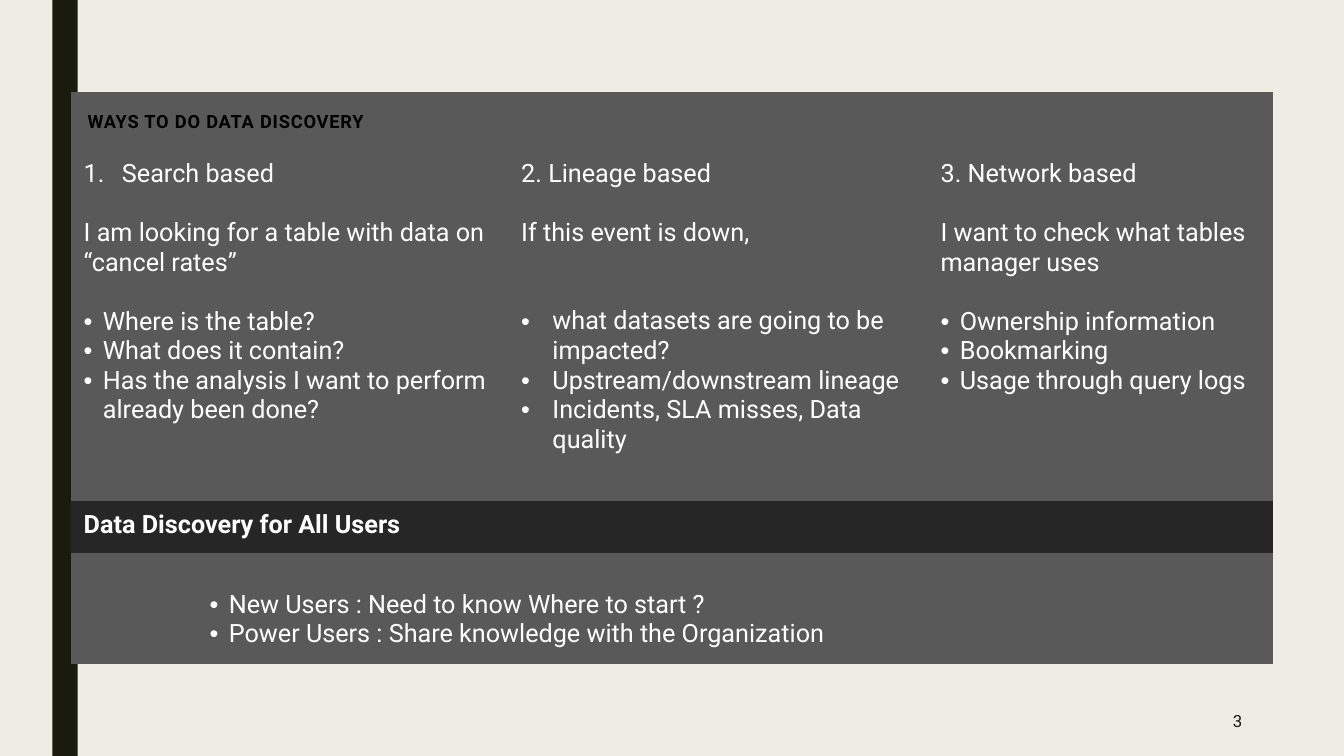
from lxml import etree
from pptx import Presentation
from pptx.dml.color import RGBColor
from pptx.enum.shapes import MSO_SHAPE as SHAPE
from pptx.enum.text import MSO_ANCHOR as ANCHOR, PP_ALIGN as ALIGN
from pptx.oxml.ns import qn
from pptx.util import Inches, Pt

FONT = "Roboto"
CREAM = RGBColor(0xEF, 0xED, 0xE3)
OLIVE = RGBColor(0x19, 0x1B, 0x0E)
GRAY = RGBColor(0x59, 0x59, 0x59)
DARK = RGBColor(0x26, 0x26, 0x26)
WHITE = RGBColor(0xFF, 0xFF, 0xFF)
BLACK = RGBColor(0, 0, 0)
NO_GRID = "{2D5ABB26-0587-4C30-8999-92F81FD0307C}"
LINE = 21  # height of one 18 pt line, in points

COLS = [4.34, 4.16, 3.43]
ROWS = [0.6, 3.46, 0.52, 1.1]

# heading, is it auto-numbered, question, lines before the bullets, bullet indent, bullets
WAYS = [
    ("Search based", True, "I am looking for a table with data on “cancel rates”", 1, 0.19,
     ["Where is the table?", "What does it contain?",
      "Has the analysis I want to perform already been done?"]),
    ("2. Lineage based", False, "If this event is down,", 2, 0.31,
     ["what datasets are going to be impacted?", "Upstream/downstream lineage",
      "Incidents, SLA misses, Data quality"]),
    ("3. Network based", False, "I want to check what tables manager uses", 1, 0.19,
     ["Ownership information", "Bookmarking", "Usage through query logs"]),
]
USERS = ["New Users : Need to know Where to start ?",
         "Power Users : Share knowledge with the Organization"]


def write(p, text, size=18, color=WHITE, bold=False, before=0):
    p.space_before = Pt(before)
    r = p.add_run()
    r.text = text
    r.font.name, r.font.size, r.font.bold = FONT, Pt(size), bold
    r.font.color.rgb = color
    return r


def mark(p, left, hang, numbered=False):
    """Give the paragraph a hanging bullet or number."""
    pPr = p._p.get_or_add_pPr()
    pPr.set("marL", str(Inches(left)))
    pPr.set("indent", str(-Inches(hang)))
    if numbered:
        etree.SubElement(pPr, qn("a:buAutoNum"), type="arabicPeriod")
    else:
        etree.SubElement(pPr, qn("a:buFont"), typeface="Arial")
        etree.SubElement(pPr, qn("a:buChar"), char="•")


prs = Presentation()
prs.slide_width, prs.slide_height = Inches(13.33), Inches(7.5)
s = prs.slides.add_slide(prs.slide_layouts[6])
s.background.fill.solid()
s.background.fill.fore_color.rgb = CREAM

bar = s.shapes.add_shape(SHAPE.RECTANGLE, Inches(0.52), 0, Inches(0.25), prs.slide_height)
bar.shadow.inherit = False
bar.fill.solid()
bar.fill.fore_color.rgb = OLIVE
bar.line.fill.background()

number = s.shapes.add_textbox(Inches(9.42), Inches(6.95), Inches(3), Inches(0.4))
tf = number.text_frame
tf.word_wrap = True
tf.vertical_anchor = ANCHOR.MIDDLE
tf.paragraphs[0].alignment = ALIGN.RIGHT
write(tf.paragraphs[0], "3", 12, OLIVE)

table = s.shapes.add_table(len(ROWS), len(COLS), Inches(0.7), Inches(0.91),
                           Inches(sum(COLS)), Inches(sum(ROWS))).table
table.first_row = table.horz_banding = False
table._tbl.tblPr.find(qn("a:tableStyleId")).text = NO_GRID
for column, width in zip(table.columns, COLS):
    column.width = Inches(width)
for i, (row, height) in enumerate(zip(table.rows, ROWS)):
    row.height = Inches(height)
    for cell in row.cells:
        cell.fill.solid()
        cell.fill.fore_color.rgb = DARK if i == 2 else GRAY
        cell.margin_left = cell.margin_right = Inches(0.13)
        cell.margin_top, cell.margin_bottom = Inches(0.07), Inches(0.11)
    if i != 1:
        table.cell(i, 0).merge(table.cell(i, len(COLS) - 1))

header = table.cell(0, 0)
header.vertical_anchor = ANCHOR.MIDDLE
header.margin_left = header.margin_right = Inches(0.17)
header.margin_top = header.margin_bottom = Inches(0.17)
r = write(header.text_frame.paragraphs[0], "WAYS TO DO DATA DISCOVERY", 13, BLACK, True)
r.font._element.set("spc", "60")

for col, (heading, numbered, question, gap, indent, bullets) in enumerate(WAYS):
    tf = table.cell(1, col).text_frame
    p = tf.paragraphs[0]
    write(p, heading)
    if numbered:
        mark(p, 0.38, 0.38, numbered=True)
    write(tf.add_paragraph(), question, before=LINE)
    for i, bullet in enumerate(bullets):
        p = tf.add_paragraph()
        write(p, bullet, before=0 if i else gap * LINE)
        mark(p, indent, indent)

band = table.cell(2, 0)
band.vertical_anchor = ANCHOR.MIDDLE
write(band.text_frame.paragraphs[0], "Data Discovery for All Users", bold=True)

users = table.cell(3, 0)
users.margin_top = Inches(0.07) + Pt(LINE)
tf = users.text_frame
for i, user in enumerate(USERS):
    p = tf.add_paragraph() if i else tf.paragraphs[0]
    write(p, user)
    mark(p, 1.44, 0.19)

prs.save("out.pptx")
